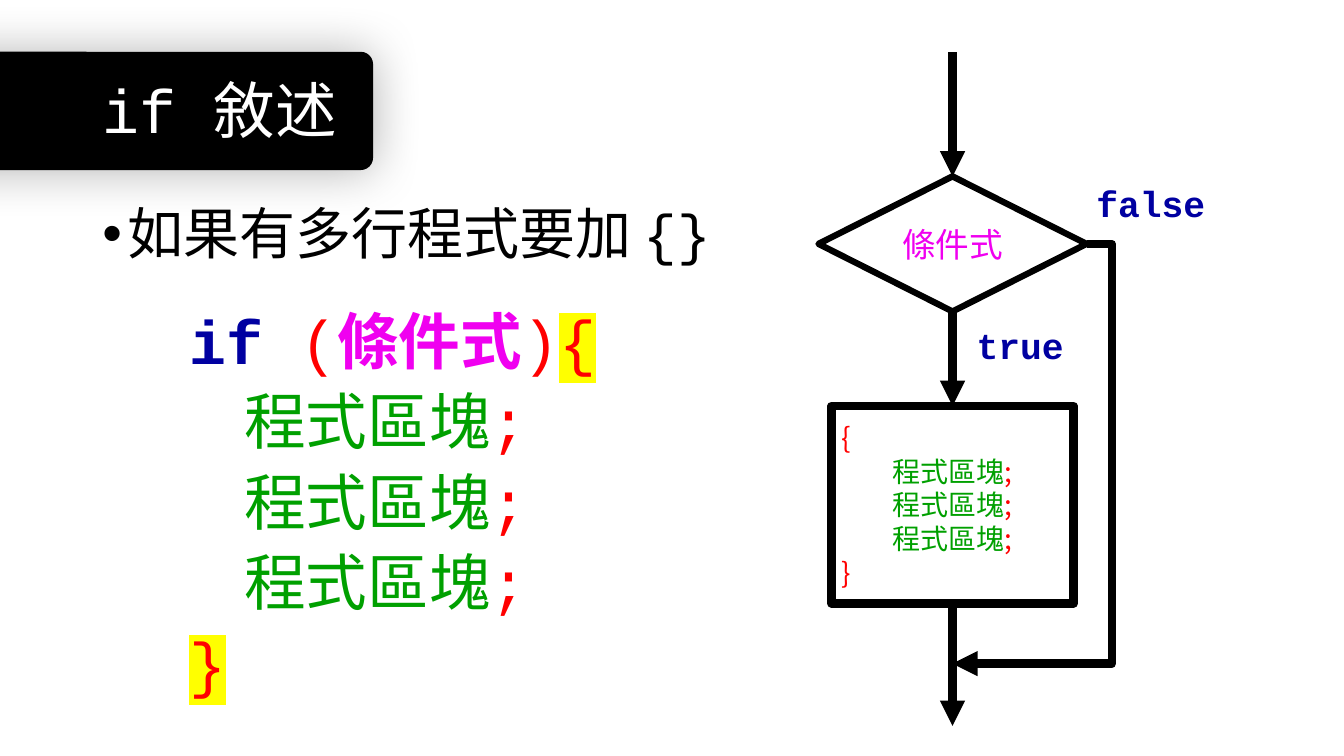
from lxml import etree
from pptx import Presentation
from pptx.dml.color import RGBColor
from pptx.enum.shapes import MSO_CONNECTOR, MSO_SHAPE
from pptx.enum.text import MSO_ANCHOR, PP_ALIGN
from pptx.oxml.ns import qn
from pptx.util import Pt

LEFT, CENTER = PP_ALIGN.LEFT, PP_ALIGN.CENTER
TOP, MIDDLE = MSO_ANCHOR.TOP, MSO_ANCHOR.MIDDLE
STRAIGHT, ELBOW = MSO_CONNECTOR.STRAIGHT, MSO_CONNECTOR.ELBOW
MONO, SANS = "Courier New", "Noto Sans CJK TC"
BLACK, WHITE, NAVY, RED = "000000", "FFFFFF", "0000A1", "FF0000"
PINK, GREEN, YELLOW = "F000F0", "00A000", "FFFF00"

# A line is a list of runs: text, colour, bold, highlight
TITLE = [[("if 敘述", WHITE)]]
POINT = [[("如果有多行程式要加 {}", BLACK)]]
STEP = [("程式區塊", GREEN), (";", RED)]
CODE = [
    [("if ", NAVY, True), ("(", RED), ("條件式", PINK, True), (")", RED),
     ("{", RED, False, YELLOW)],
    *[[("    程式區塊", GREEN), (";", RED)]] * 3,
    [("}", RED, False, YELLOW)],
]
TEST = [[("條件式", PINK)]]
BLOCK = [[("{", RED)], *[STEP] * 3, [("}", RED)]]
LABELS = [("true", 690.5, 232.5, 86), ("false", 776, 131, 96)]

# Flow chart geometry
MID = 680.4
START, JOIN, END = 37.5, 474, 518.5
TEST_TOP, TEST_W, TEST_H = 126, 191.5, 96.5
BLOCK_TOP, BLOCK_W, BLOCK_H = 290, 173, 141
DETOUR = 18


def rgb(code):
    return RGBColor.from_string(code)


def add(parent, tag, **attrs):
    return etree.SubElement(parent, qn(tag), attrs)


def write(shape, lines, size, font=MONO, anchor=MIDDLE, aligns=(LEFT,),
          space=None, gap=0, bullet=False):
    """Fill a shape with lines; aligns is cycled when shorter than lines."""
    frame = shape.text_frame
    frame.word_wrap = True
    frame.vertical_anchor = anchor
    for i, line in enumerate(lines):
        para = frame.add_paragraph() if i else frame.paragraphs[0]
        if bullet:
            props = para._p.get_or_add_pPr()
            props.set("marL", str(Pt(18)))
            props.set("indent", str(-Pt(18)))
            add(props, "a:buFont", typeface="Arial")
            add(props, "a:buChar", char="•")
        para.alignment = aligns[i % len(aligns)]
        para.line_spacing = space
        para.space_before = Pt(gap if i else 0)
        for text, color, *style in line:
            bold, mark = (style + [False, None])[:2] if style else (False, None)
            run = para.add_run()
            run.text = text
            run.font.size = Pt(size)
            run.font.bold = bold
            run.font.color.rgb = rgb(color)
            props = run._r.get_or_add_rPr()
            if mark:
                add(add(props, "a:highlight"), "a:srgbClr", val=mark)
            run.font.name = font
            add(props, "a:ea", typeface=SANS)


def box(left, top, width, height, lines, size, **style):
    area = slide.shapes.add_textbox(Pt(left), Pt(top), Pt(width), Pt(height))
    write(area, lines, size, **style)


def node(kind, left, top, width, height, fill, weight):
    shape = slide.shapes.add_shape(kind, Pt(left), Pt(top), Pt(width), Pt(height))
    shape.shadow.inherit = False
    shape.fill.solid()
    shape.fill.fore_color.rgb = rgb(fill)
    shape.line.color.rgb = rgb(BLACK)
    shape.line.width = Pt(weight)
    return shape


def arrow(x1, y1, x2, y2, kind=STRAIGHT, begin=None, end=None):
    """Draw an arrow; begin and end are (shape, site) pairs."""
    link = slide.shapes.add_connector(kind, Pt(x1), Pt(y1), Pt(x2), Pt(y2))
    if begin:
        link.begin_connect(*begin)
    if end:
        link.end_connect(*end)
    link.line.color.rgb = rgb(BLACK)
    link.line.width = Pt(6)
    add(link.line._get_or_add_ln(), "a:tailEnd", type="triangle")
    add(link._element.spPr, "a:effectLst")
    return link


deck = Presentation()
deck.slide_width, deck.slide_height = Pt(960), Pt(540)
slide = deck.slides.add_slide(deck.slide_layouts[5])

banner = node(MSO_SHAPE.ROUNDED_RECTANGLE, -152.5, 37.5, 418.5, 83.5, BLACK, 1)
banner.adjustments[0] = 0.1
glow = add(banner._element.spPr.find(qn("a:effectLst")), "a:outerShdw",
           blurRad=str(Pt(36)), dist="0", dir="0", algn="ctr", rotWithShape="0")
add(add(glow, "a:srgbClr", val=BLACK), "a:alpha", val="30000")

title = slide.shapes.title
title.left, title.top, title.width, title.height = Pt(66), Pt(29), Pt(828), Pt(104)
write(title, TITLE, 44, space=0.9)
slide.shapes._spTree.append(title._element)

box(66, 144, 480, 60, POINT, 40, anchor=TOP, space=0.9, bullet=True)
box(128, 211, 379.5, 300, CODE, 44, space=0.9, gap=10)

test = node(MSO_SHAPE.FLOWCHART_DECISION, MID - TEST_W / 2, TEST_TOP,
            TEST_W, TEST_H, WHITE, 4.5)
write(test, TEST, 24, font=SANS, aligns=(CENTER,))
block = node(MSO_SHAPE.FLOWCHART_PROCESS, MID - BLOCK_W / 2, BLOCK_TOP,
             BLOCK_W, BLOCK_H, WHITE, 6)
write(block, BLOCK, 20, font=SANS, aligns=(LEFT, CENTER, CENTER, CENTER, LEFT))

arrow(MID, START, MID, TEST_TOP, end=(test, 0))
arrow(MID, TEST_TOP + TEST_H, MID, BLOCK_TOP, begin=(test, 2), end=(block, 0))
arrow(MID, BLOCK_TOP + BLOCK_H, MID, END, begin=(block, 2))
skip = arrow(MID + TEST_W / 2, TEST_TOP + TEST_H / 2, MID, JOIN, ELBOW,
             begin=(test, 3))
bend = round(-DETOUR / (TEST_W / 2) * 100000)
add(skip._element.spPr.prstGeom.get_or_add_avLst(), "a:gd",
    name="adj1", fmla=f"val {bend}")

for word, left, top, width in LABELS:
    box(left, top, width, 34, [[(word, NAVY, True)]], 25.9, space=0.8)

deck.save("out.pptx")
